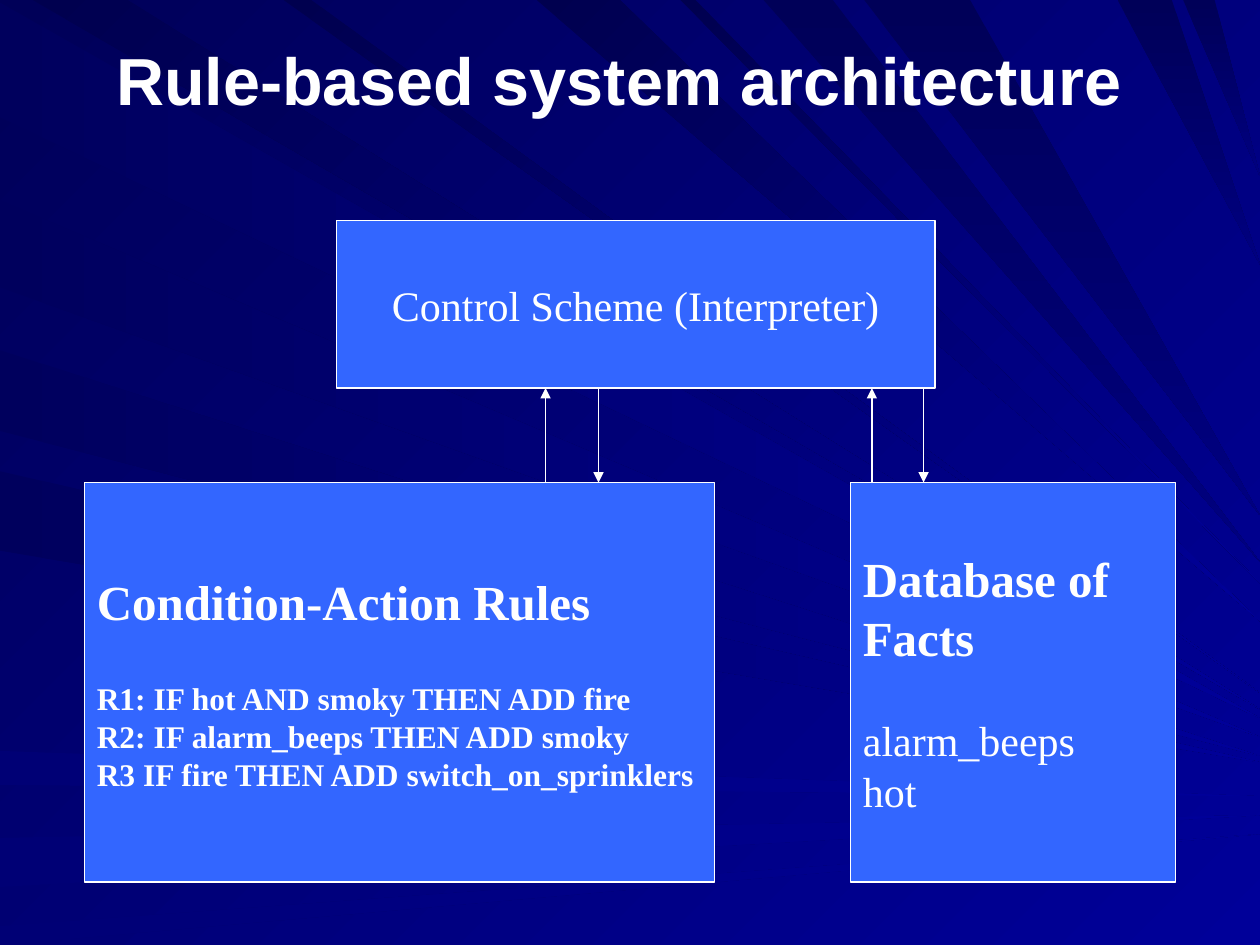
from lxml import etree
from pptx import Presentation
from pptx import util as u
from pptx.dml.color import RGBColor
from pptx.enum import shapes, text
from pptx.oxml.ns import qn

Inches = u.Inches
WHITE = RGBColor.from_string("FFFFFF")
BOX_BLUE = RGBColor.from_string("3366FF")
BACK_DARK = RGBColor.from_string("000058")
BLUE = RGBColor.from_string("000099")
SIDE_DARK = RGBColor.from_string("00005D")
LOW_DARK = RGBColor.from_string("000075")
TOP_DARK = RGBColor.from_string("00004F")
NAVY = RGBColor.from_string("000080")


def paint_gradient(fill, start, end, angle):
    fill.gradient()
    fill.gradient_angle = -angle % 360
    for stop, color in zip(fill.gradient_stops, (start, end)):
        stop.color.rgb = color


def write_lines(frame, lines, align):
    for index, (words, font_values, gap) in enumerate(lines):
        line = frame.paragraphs[0] if index == 0 else frame.add_paragraph()
        line.text = words
        line.alignment = align
        line.space_before = u.Pt(gap)
        line.font.color.rgb = WHITE
        for name, value in font_values.items():
            setattr(line.font, name, value)


deck = Presentation()
deck.slide_width, deck.slide_height = Inches(10), Inches(7.5)
slide = deck.slides.add_slide(deck.slide_layouts[5])
paint_gradient(slide.background.fill, BACK_DARK, BLUE, 45)

side_rays = [(0.02, 0.93, 5.7), (1.59, 2.28, 5.85), (2.78, 3.42, 6), (3.74, 4.37, 6.05)]
low_rays = [(5.96, 6.23, 6.32), (6.65, 7.04, 6.47), (7.35, 7.5, 6.62)]
thin_top_rays = [(0.26, 1.01, 5.63), (2.25, 2.47, 5.5), (4.26, 4.92, 4.93), (5.4, 5.52, 4.63)]
steep_top_rays = [(6.06, 6.61, 4.46), (6.86, 7.7, 4.09), (8.87, 9.3, 2.1), (9.39, 9.64, 1.4)]
ray_fans = [
    (side_rays, False, (SIDE_DARK, BLUE, 0)),
    (low_rays, False, (LOW_DARK, BLUE, 0)),
    (thin_top_rays, True, (TOP_DARK, BLUE, 45)),
    (steep_top_rays, True, (BACK_DARK, NAVY, 90)),
]
backdrop = slide.shapes.add_group_shape()
for rays, from_top, shades in ray_fans:
    for near, far, tip in rays:
        base = [(Inches(edge), 0) if from_top else (0, Inches(edge)) for edge in (near, far)]
        outline = backdrop.shapes.build_freeform(*base[0])
        outline.add_line_segments([base[1], (deck.slide_width, Inches(tip))], close=True)
        ray = outline.convert_to_shape()
        ray.shadow.inherit = False
        ray.line.fill.background()
        paint_gradient(ray.fill, *shades)

heading = slide.shapes.title
slide.shapes._spTree.append(heading._element)
heading.left, heading.top = Inches(0.25), Inches(0)
heading.width, heading.height = Inches(9.33), Inches(1.25)
heading.text_frame.vertical_anchor = text.MSO_ANCHOR.MIDDLE
heading_font = {"name": "Arial", "size": u.Pt(38), "bold": True}
write_lines(heading.text_frame, [("Rule-based system architecture", heading_font, 0)],
            text.PP_ALIGN.CENTER)

SERIF = "Times New Roman"
caption = {"name": SERIF, "size": u.Pt(28), "bold": True}
rule = {"name": SERIF, "size": u.Pt(18), "bold": True}
plain = {"name": SERIF, "size": u.Pt(24), "bold": False}
BLOCK_GAP = 27.6
control_top, control_height = 1.75, 1.33
control_bottom = control_top + control_height
store_top, store_height = 3.83, 3.17
parts = [
    (0.67, store_top, 5, store_height, text.PP_ALIGN.JUSTIFY, [
        ("Condition-Action Rules", caption, 0),
        ("R1: IF hot AND smoky THEN ADD fire", rule, BLOCK_GAP),
        ("R2: IF alarm_beeps THEN ADD smoky", rule, 0),
        ("R3 IF fire THEN ADD switch_on_sprinklers", rule, 0)]),
    (6.75, store_top, 2.58, store_height, text.PP_ALIGN.LEFT, [
        ("Database of", caption, 0),
        ("Facts", caption, 0),
        ("alarm_beeps", plain, BLOCK_GAP),
        ("hot", plain, 0)]),
    (2.67, control_top, 4.75, control_height, text.PP_ALIGN.CENTER, [
        ("Control Scheme (Interpreter)", plain, 0)]),
]
for left, top, width, height, align, lines in parts:
    part = slide.shapes.add_shape(shapes.MSO_SHAPE.RECTANGLE, Inches(left), Inches(top),
                                  Inches(width), Inches(height))
    part.shadow.inherit = False
    part.fill.solid()
    part.fill.fore_color.rgb = BOX_BLUE
    part.line.color.rgb = WHITE
    part.line.width = u.Pt(0.75)
    part.text_frame.word_wrap = True
    part.text_frame.vertical_anchor = text.MSO_ANCHOR.MIDDLE
    write_lines(part.text_frame, lines, align)

flows = [(4.33, store_top, control_bottom), (6.92, store_top, control_bottom),
         (7.33, control_bottom, store_top), (4.75, control_bottom, store_top)]
for x, begin, end in flows:
    flow = slide.shapes.add_connector(shapes.MSO_CONNECTOR.STRAIGHT, Inches(x), Inches(begin),
                                      Inches(x), Inches(end))
    flow.line.color.rgb = WHITE
    flow.line.width = u.Pt(0.75)
    etree.SubElement(flow.line._get_or_add_ln(), qn("a:tailEnd"), type="triangle")
    etree.SubElement(flow._element.spPr, qn("a:effectLst"))

deck.save("out.pptx")
